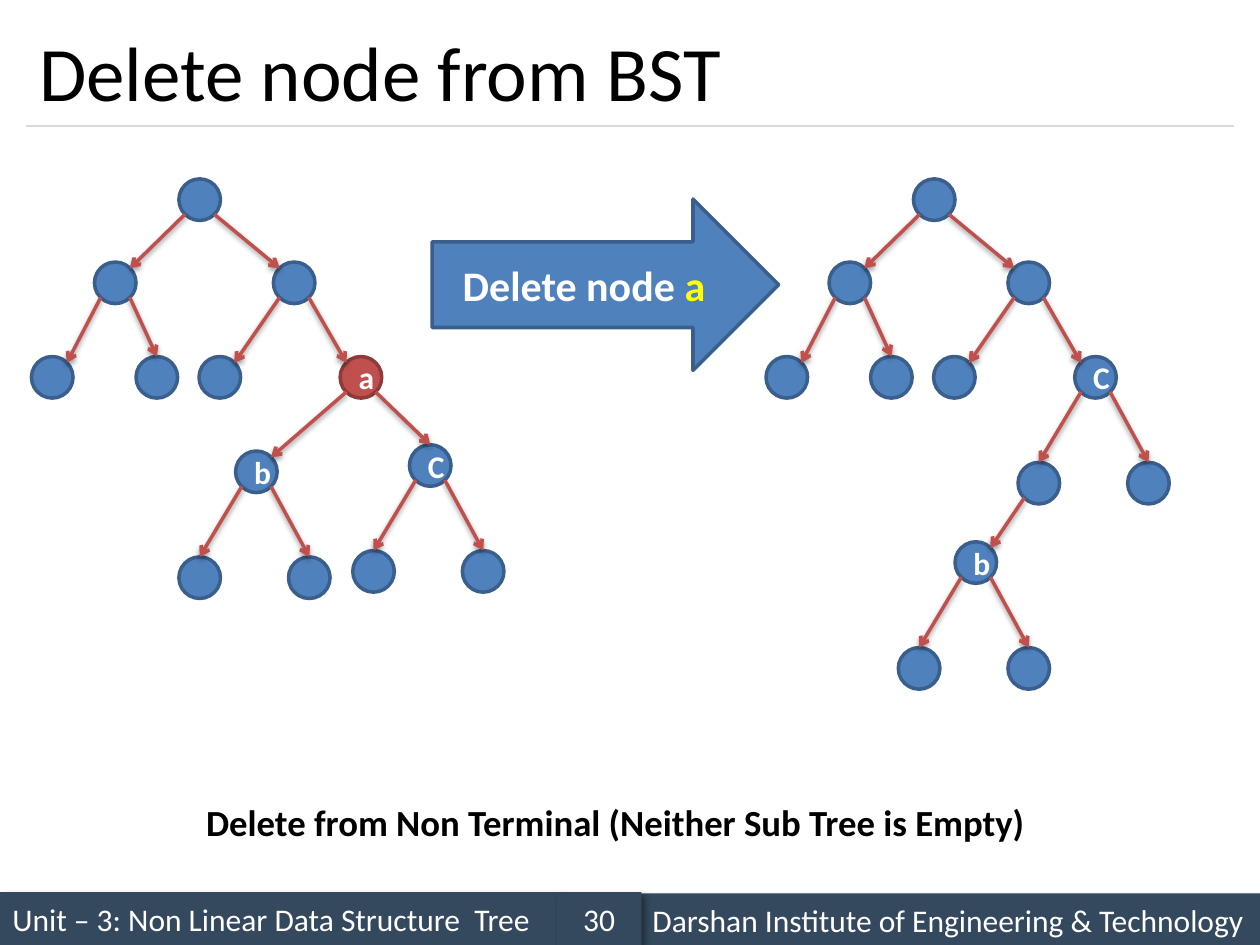
from lxml import etree
from pptx import Presentation
from pptx.dml.color import RGBColor
from pptx.enum.shapes import MSO_CONNECTOR, MSO_SHAPE
from pptx.enum.text import MSO_ANCHOR, PP_ALIGN
from pptx.oxml.ns import qn
from pptx.util import Inches, Pt

STRAIGHT = MSO_CONNECTOR.STRAIGHT
OVAL, RECT, ARROW = MSO_SHAPE.OVAL, MSO_SHAPE.RECTANGLE, MSO_SHAPE.RIGHT_ARROW
LEFT, CENTER, MIDDLE = PP_ALIGN.LEFT, PP_ALIGN.CENTER, MSO_ANCHOR.MIDDLE

BLUE, BLUE_EDGE = "4F81BD", "3A5F8C"
RED, RED_EDGE = "C0504D", "8E3B39"
NAVY, GREY, WHITE, BLACK, YELLOW = "34495E", "D9D9D9", "FFFFFF", "000000", "FFFF00"
NODE = 0.33

TITLE = "Delete node from BST"
CAPTION = "Delete from Non Terminal (Neither Sub Tree is Empty)"
ARROW_TEXT = [("Delete node ", WHITE), ("a", YELLOW)]
# text, left, top, width, alignment
FOOTER = [
    ("Unit – 3: Non Linear Data Structure  Tree", 0, 7.08, 4.42, LEFT),
    ("Darshan Institute of Engineering & Technology", 5.08, 7.09, 4.92, LEFT),
    ("30", 4.42, 7.08, 0.67, CENTER),
]

# Shadows: blur, distance, direction in degrees, opacity in percent
FOOTER_SHADOW = (4, 3, 45, 40)
EDGE_SHADOW = (3.1, 1.6, 90, 38)

# Trees: name -> (left, top, parent, exit side of parent, entry point)
UPPER = {
    "root": (1.42, 1.42, None, None, None),
    "l": (0.75, 2.08, "root", "left", "right"),
    "r": (2.17, 2.08, "root", "right", "left"),
    "ll": (0.25, 2.83, "l", "left", "right"),
    "lr": (1.08, 2.83, "l", "right", "top"),
    "rl": (1.58, 2.83, "r", "left", "right"),
    "rr": (2.7, 2.83, "r", "right", "left"),
}
AFTER_SHIFT = 5.83


def with_leaves(tree, parent):
    """Add the two children that hang at a fixed distance under a node."""
    x, y = tree[parent][:2]
    return {
        **tree,
        parent + "l": (x - 0.45, y + 0.84, parent, "left", "top"),
        parent + "r": (x + 0.42, y + 0.84, parent, "right", "top"),
    }


def tree_before():
    tree = {
        **UPPER,
        "b": (1.87, 3.58, "rr", "left", "right"),
        "c": (3.25, 3.53, "rr", "right", "top"),
    }
    return with_leaves(with_leaves(tree, "b"), "c")


def tree_after():
    shifted = {k: (x + AFTER_SHIFT, *rest) for k, (x, *rest) in UPPER.items()}
    tree = with_leaves(shifted, "rr")
    tree["b"] = (7.58, 4.3, "rrl", "left", "right")
    return with_leaves(tree, "b")


def rgb(value):
    return RGBColor.from_string(value)


def add_shadow(sp, blur, dist, angle, alpha):
    spPr = sp._element.spPr
    effects = spPr.find(qn("a:effectLst"))
    if effects is None:
        effects = etree.SubElement(spPr, qn("a:effectLst"))
    shadow = etree.SubElement(
        effects, qn("a:outerShdw"), blurRad=str(Pt(blur)), dist=str(Pt(dist)),
        dir=str(angle * 60000), rotWithShape="0")
    color = etree.SubElement(shadow, qn("a:srgbClr"), val=BLACK)
    etree.SubElement(color, qn("a:alpha"), val=str(alpha * 1000))


def write(sp, runs, size, bold=False, align=CENTER):
    tf = sp.text_frame
    tf.vertical_anchor = MIDDLE
    p = tf.paragraphs[0]
    p.alignment = align
    for text, color in runs:
        r = p.add_run()
        r.text = text
        for name, value in {"name": "Calibri", "size": Pt(size), "bold": bold}.items():
            setattr(r.font, name, value)
        r.font.color.rgb = rgb(color)


def add_shape(s, kind, box, fill, edge=None):
    sp = s.shapes.add_shape(kind, *map(Inches, box))
    sp.fill.solid()
    sp.fill.fore_color.rgb = rgb(fill)
    if edge:
        sp.line.color.rgb = rgb(edge)
        sp.line.width = Pt(2)
    else:
        sp.line.fill.background()
    sp.shadow.inherit = False
    return sp


def add_line(s, start, end, color, width):
    line = s.shapes.add_connector(STRAIGHT, *map(Inches, (*start, *end)))
    line.line.color.rgb = rgb(color)
    line.line.width = Pt(width)
    etree.SubElement(line._element.spPr, qn("a:effectLst"))
    return line


def rim_point(node, side, lower=False):
    """Point on a node's rim: its top, or the diagonal on the given side."""
    x, y = node[:2]
    if side == "top":
        return x + NODE / 2, y
    inset = 0.05
    return (x + (inset if side == "left" else NODE - inset),
            y + (NODE - inset if lower else inset))


def draw_tree(s, tree, labels, deleted=None):
    for name, (x, y, parent, exit_side, entry) in tree.items():
        colors = (RED, RED_EDGE) if name == deleted else (BLUE, BLUE_EDGE)
        sp = add_shape(s, OVAL, (x, y, NODE, NODE), *colors)
        if name in labels:
            write(sp, [(labels[name], WHITE)], 18, bold=True)
        if parent:
            start = rim_point(tree[parent], exit_side, lower=True)
            edge = add_line(s, start, rim_point(tree[name], entry), RED, 2)
            ln = edge.line._get_or_add_ln()
            etree.SubElement(ln, qn("a:tailEnd"), type="arrow")
            add_shadow(edge, *EDGE_SHADOW)


def main():
    prs = Presentation()
    prs.slide_width, prs.slide_height = Inches(10), Inches(7.5)
    s = prs.slides.add_slide(prs.slide_layouts[5])

    title = s.shapes.title
    title.left, title.top, title.width, title.height = map(Inches, (0.21, 0.12, 9.58, 0.88))
    write(title, [(TITLE, BLACK)], 44, align=LEFT)
    add_line(s, (0.21, 1), (9.79, 1), GREY, 0.75)

    for text, left, top, width, align in FOOTER:
        sp = add_shape(s, RECT, (left, top, width, 0.42), NAVY)
        add_shadow(sp, *FOOTER_SHADOW)
        write(sp, [(text, WHITE)], 18, align=align)

    draw_tree(s, tree_before(), {"rr": "a", "b": "b", "c": "C"}, deleted="rr")
    sp = add_shape(s, ARROW, (3.43, 1.58, 2.75, 1.36), BLUE, BLUE_EDGE)
    write(sp, ARROW_TEXT, 24, bold=True)
    draw_tree(s, tree_after(), {"rr": "C", "b": "b"})

    caption = s.shapes.add_textbox(*map(Inches, (1.5, 6.3, 6.77, 0.45)))
    caption.text_frame.word_wrap = False
    write(caption, [(CAPTION, BLACK)], 21, bold=True)

    prs.save("out.pptx")


if __name__ == "__main__":
    main()
